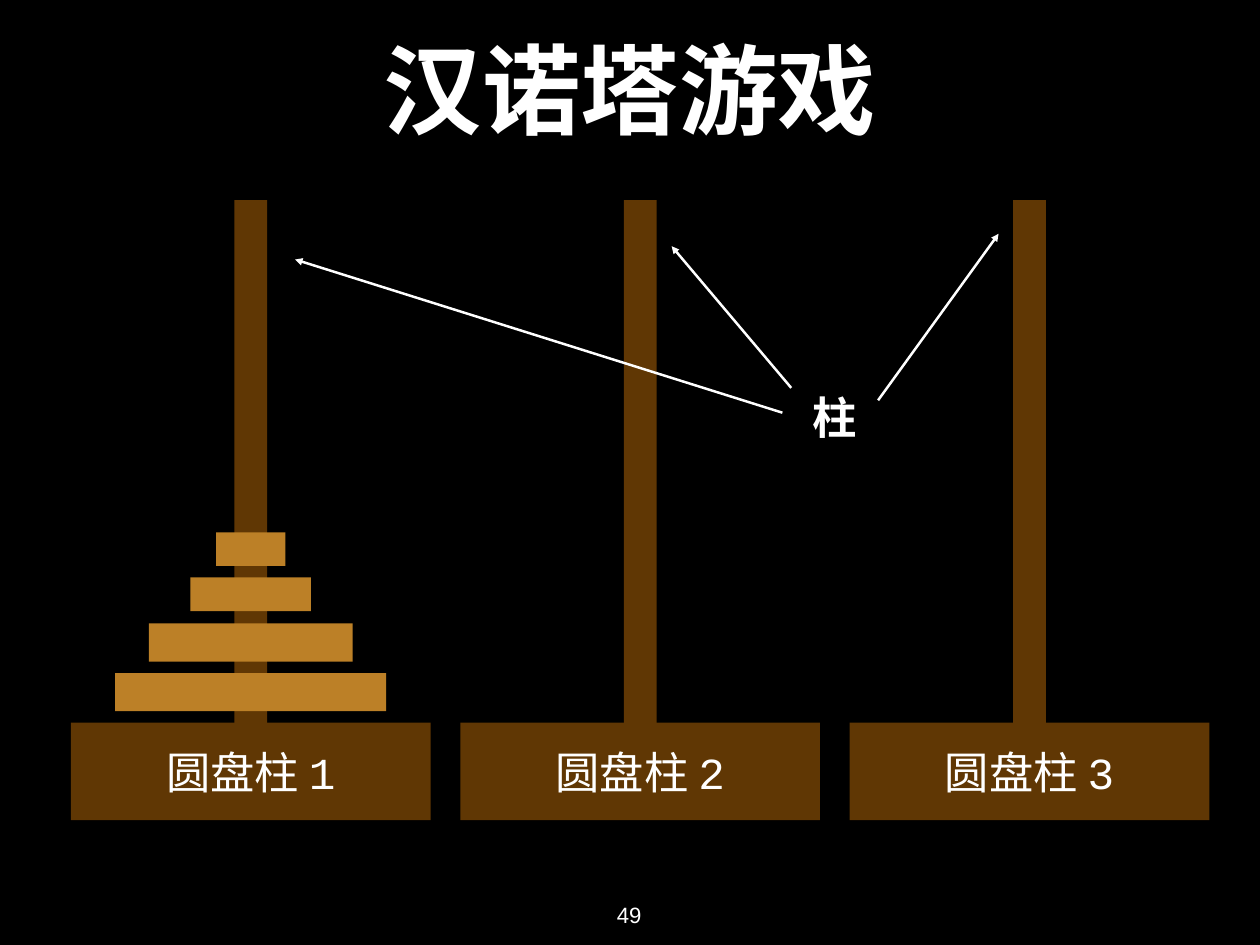
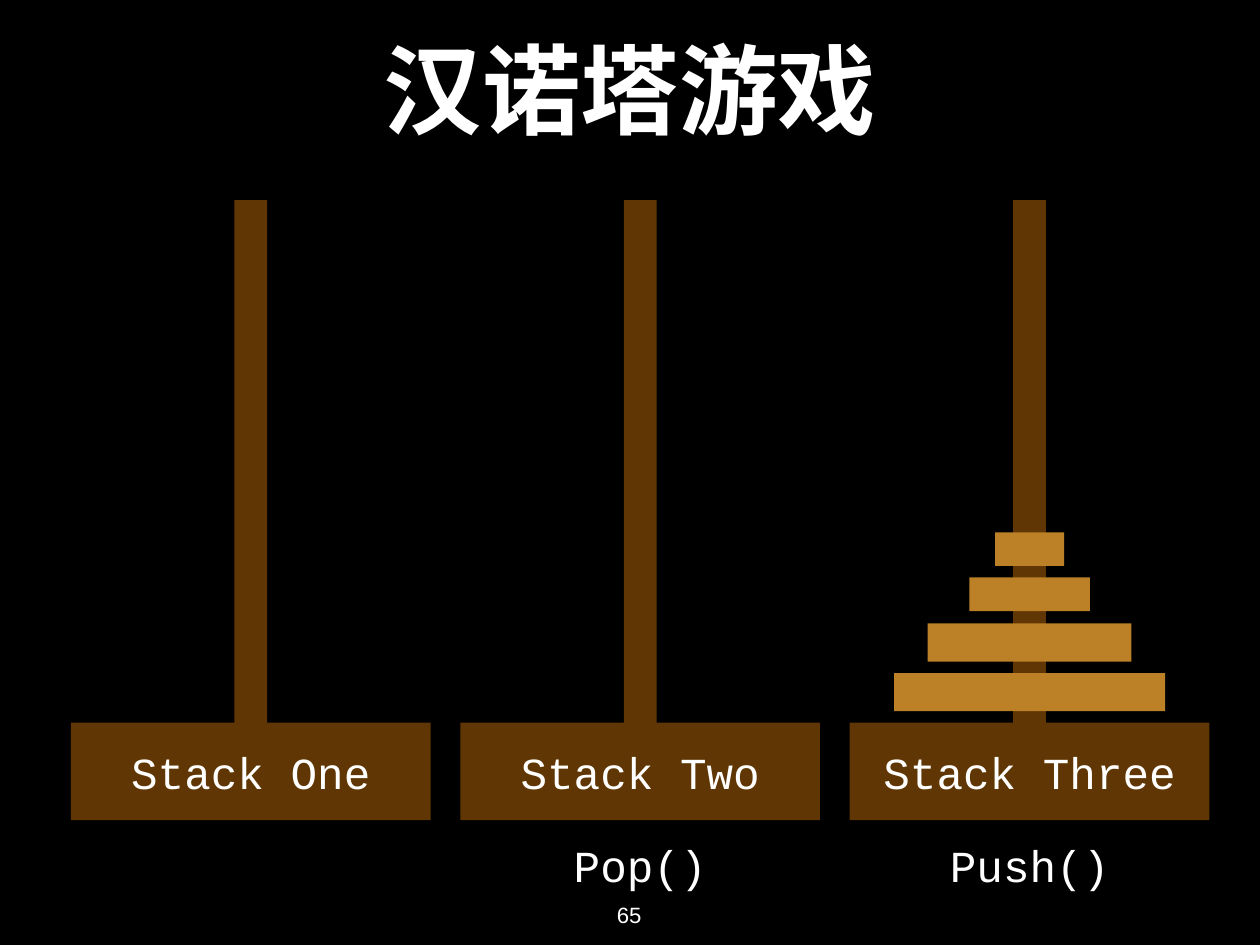
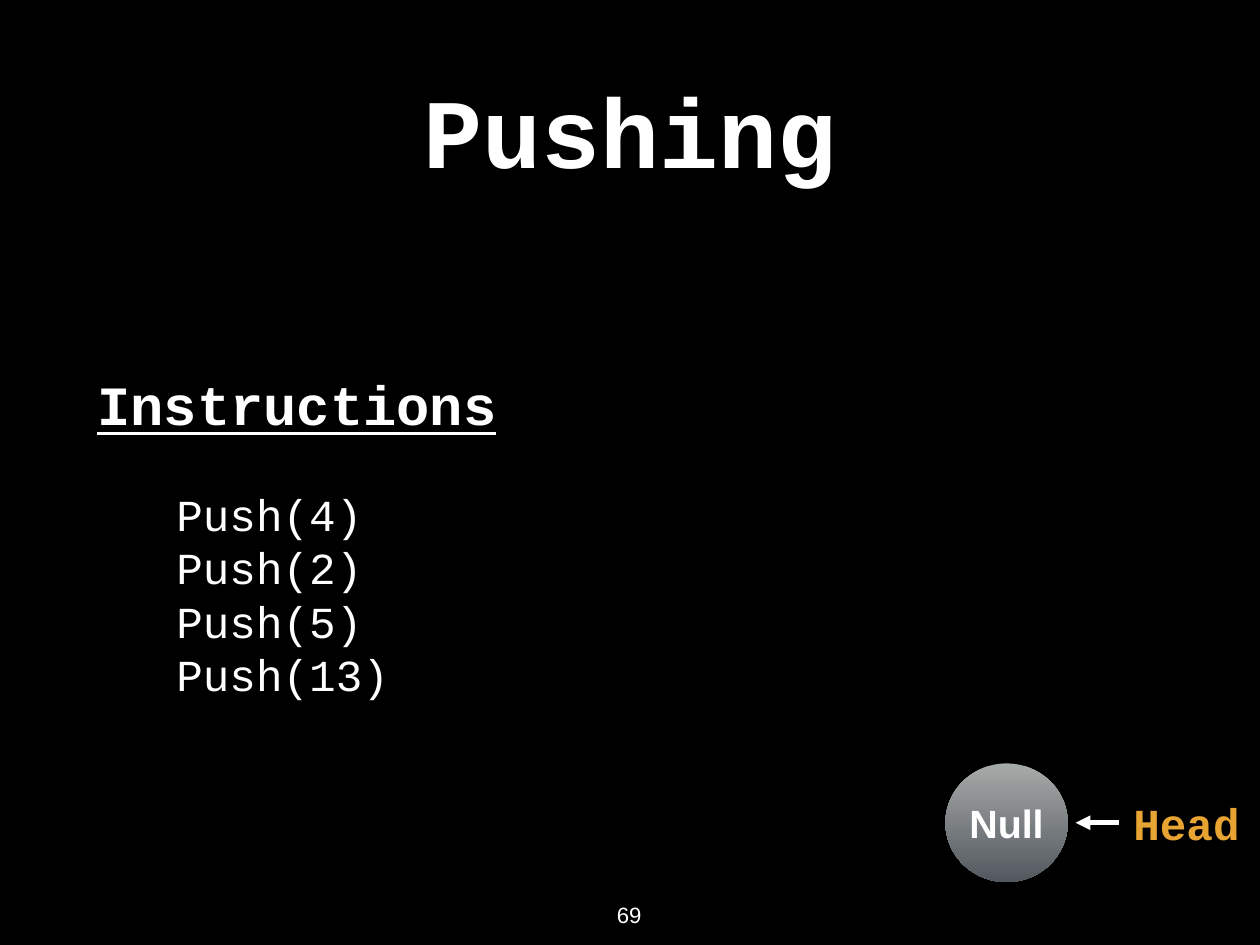
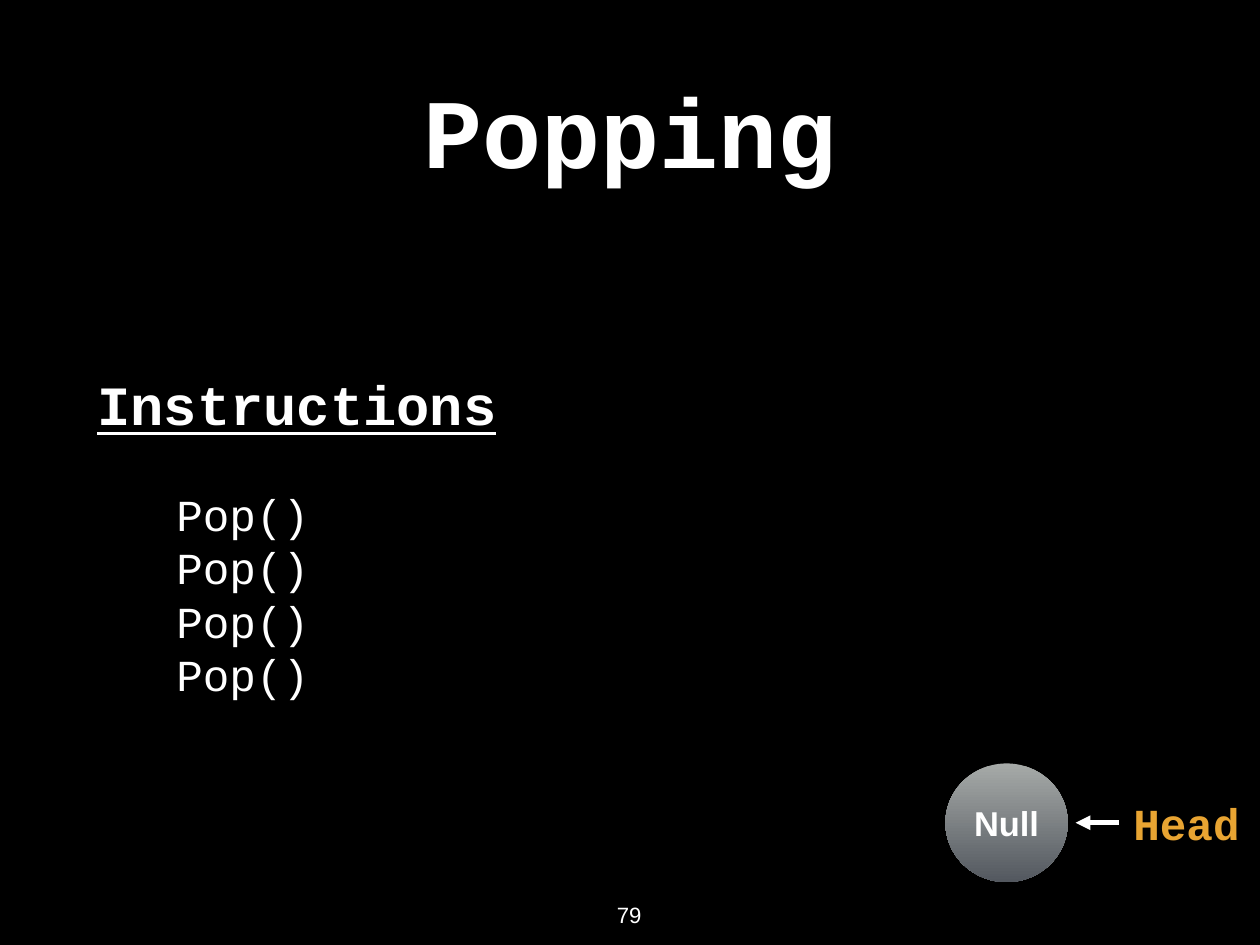
from dataclasses import dataclass

from lxml.etree import SubElement
from pptx import Presentation
from pptx.dml.color import RGBColor
from pptx.enum.shapes import MSO_CONNECTOR, MSO_SHAPE
from pptx.enum.text import MSO_ANCHOR, MSO_AUTO_SIZE, PP_ALIGN
from pptx.oxml.ns import qn
from pptx.util import Inches, Pt


@dataclass(frozen=True)
class Theme:
    black: RGBColor = RGBColor(0x00, 0x00, 0x00)
    white: RGBColor = RGBColor(0xFF, 0xFF, 0xFF)
    wood: RGBColor = RGBColor(0x60, 0x37, 0x04)
    disc: RGBColor = RGBColor(0xBC, 0x80, 0x27)
    accent: RGBColor = RGBColor(0xE8, 0xA4, 0x32)
    node_top: RGBColor = RGBColor(0xA6, 0xAA, 0xA8)
    node_bottom: RGBColor = RGBColor(0x53, 0x58, 0x5F)
    code_font: str = "Courier New"
    plain_font: str = "Arial"
    title: int = 80
    heading: int = 45
    body: int = 36
    page_number: int = 18
    inset: float = 0.06


THEME = Theme()
SLIDE_WIDTH, SLIDE_HEIGHT = 14.22, 10.67
TITLE_LEFT, TITLE_WIDTH = 1.04, 12.14

# Peg columns of the tower slides
FIRST_CENTER, COLUMN_PITCH = 2.83, 4.395
CENTERS = [FIRST_CENTER + COLUMN_PITCH * column for column in range(3)]
PEG_TOP, PEG_WIDTH, PEG_HEIGHT = 2.26, 0.37, 6.14
BASE_TOP, BASE_WIDTH, BASE_HEIGHT = 8.16, 4.06, 1.1
DISCS = [(7.6, 3.06, 0.43), (7.04, 2.3, 0.38), (6.52, 1.36, 0.38), (6.01, 0.78, 0.38)]
DISCS = [(7.6, 3.06, 0.43), (7.04, 2.3, 0.43), (6.52, 1.36, 0.38), (6.01, 0.78, 0.38)]


def write(frame, lines, size, color=THEME.white, font=THEME.code_font, bold=False,
          underline=False, align=PP_ALIGN.CENTER, anchor=MSO_ANCHOR.MIDDLE, wrap=True):
    frame.margin_left = frame.margin_right = Inches(THEME.inset)
    frame.margin_top = frame.margin_bottom = Inches(THEME.inset)
    frame.vertical_anchor = anchor
    frame.auto_size = MSO_AUTO_SIZE.NONE
    frame.word_wrap = wrap
    frame.text = "\n".join(lines)
    for para in frame.paragraphs:
        para.alignment = align
        para.font.name = font
        para.font.size = Pt(size)
        para.font.bold = bold
        para.font.underline = underline
        para.font.color.rgb = color


def add_text(page, left, top, width, height, lines, size=THEME.body, **style):
    box = page.shapes.add_textbox(Inches(left), Inches(top), Inches(width), Inches(height))
    write(box.text_frame, lines, size, **style)


def add_label(page, center, middle, text, width, height=0.68, **style):
    """Add one unwrapped line of text centred on a point."""
    add_text(page, center - width / 2, middle - height / 2, width, height, [text],
             wrap=False, **style)


def add_block(page, center, top, width, height, color):
    """Add a plain rectangle centred on a column."""
    block = page.shapes.add_shape(MSO_SHAPE.RECTANGLE, Inches(center - width / 2),
                                  Inches(top), Inches(width), Inches(height))
    block.shadow.inherit = False
    block.fill.solid()
    block.fill.fore_color.rgb = color
    block.line.fill.background()


def add_arrow(page, start, end, weight):
    arrow = page.shapes.add_connector(MSO_CONNECTOR.STRAIGHT,
                                      *(Inches(value) for value in (*start, *end)))
    arrow.line.color.rgb = THEME.white
    arrow.line.width = Pt(weight)
    SubElement(arrow.line._get_or_add_ln(), qn("a:tailEnd"), type="triangle")
    SubElement(arrow._element.spPr, qn("a:effectLst"))


def add_page(deck, title, title_top, title_height, number):
    page = deck.slides.add_slide(deck.slide_layouts[5])
    heading = page.shapes.title
    heading.left, heading.top = Inches(TITLE_LEFT), Inches(title_top)
    heading.width, heading.height = Inches(TITLE_WIDTH), Inches(title_height)
    write(heading.text_frame, [title], THEME.title, bold=True)
    add_text(page, 6.9, 10.12, 0.4, 0.42, [str(number)], THEME.page_number,
             font=THEME.plain_font, anchor=MSO_ANCHOR.TOP, wrap=False)
    return page


def add_tower_page(deck, number, labels, disc_column):
    page = add_page(deck, "汉诺塔游戏", 0.19, 1.61, number)
    for center in CENTERS:
        add_block(page, center, PEG_TOP, PEG_WIDTH, PEG_HEIGHT, THEME.wood)
    for center, label in zip(CENTERS, labels):
        add_block(page, center, BASE_TOP, BASE_WIDTH, BASE_HEIGHT, THEME.wood)
        add_label(page, center, BASE_TOP + BASE_HEIGHT / 2, label, 0.3 * len(label) + 0.13)
    for top, width, height in DISCS:
        add_block(page, CENTERS[disc_column], top, width, height, THEME.disc)
    return page


def add_null_node(page, size):
    node = page.shapes.add_shape(MSO_SHAPE.OVAL, Inches(10.67), Inches(8.62),
                                 Inches(1.38), Inches(1.34))
    node.shadow.inherit = False
    node.line.fill.background()
    node.fill.gradient()
    node.fill.gradient_angle = 270
    for stop, color in zip(node.fill.gradient_stops, (THEME.node_top, THEME.node_bottom)):
        stop.color.rgb = color
    write(node.text_frame, ["Null"], size, font=THEME.plain_font, bold=True, wrap=False)


def add_instruction_page(deck, number, title, calls, calls_width, node_size):
    page = add_page(deck, title, 0.28, 2.36, number)
    add_label(page, 3.35, 4.55, "Instructions", 4.64, 0.85, size=THEME.heading,
              bold=True, underline=True)
    add_text(page, 1.93, 5.51, calls_width, 2.39, calls, align=PP_ALIGN.LEFT)
    add_null_node(page, node_size)
    add_label(page, 13.39, 9.29, "Head", 1.33, color=THEME.accent, bold=True)
    add_arrow(page, (12.63, 9.29), (12.14, 9.29), 4)


def main():
    deck = Presentation()
    deck.slide_width, deck.slide_height = Inches(SLIDE_WIDTH), Inches(SLIDE_HEIGHT)
    background = deck.slide_master.background.fill
    background.solid()
    background.fore_color.rgb = THEME.black

    pegs = add_tower_page(deck, 49, [f"圆盘柱 {peg}" for peg in (1, 2, 3)], 0)
    add_label(pegs, 9.42, 4.71, "柱", 0.62, 0.72, bold=True)
    for start, end in [((8.83, 4.66), (3.33, 2.93)), ((8.93, 4.38), (7.58, 2.78)),
                       ((9.91, 4.52), (11.27, 2.64))]:
        add_arrow(pegs, start, end, 2)

    stacks = add_tower_page(deck, 65, ["Stack One", "Stack Two", "Stack Three"], 2)
    for center, call in zip(CENTERS[1:], ["Pop()", "Push()"]):
        add_label(stacks, center, 9.76, call, 0.3 * len(call) + 0.13)

    pushes = [f"Push({value})" for value in (4, 2, 5, 13)]
    add_instruction_page(deck, 69, "Pushing", pushes, 2.53, 32)
    add_instruction_page(deck, 79, "Popping", ["Pop()"] * 4, 1.93, 28)
    deck.save("out.pptx")


if __name__ == "__main__":
    main()
